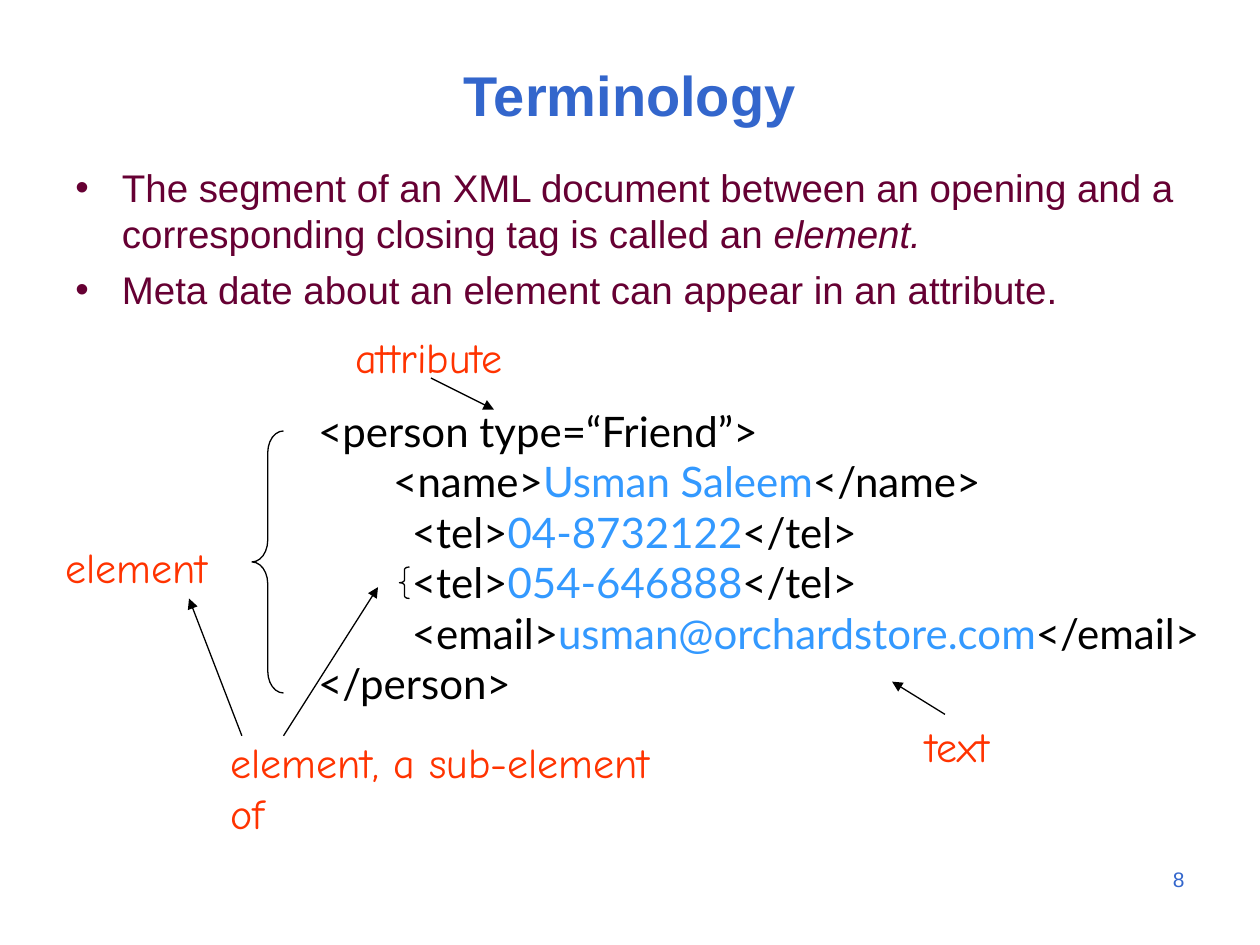
from dataclasses import dataclass

from lxml import etree
from pptx import Presentation
from pptx.dml.color import RGBColor
from pptx.enum.shapes import MSO_CONNECTOR, MSO_SHAPE
from pptx.enum.text import MSO_ANCHOR, PP_ALIGN
from pptx.oxml.ns import qn
from pptx.util import Inches, Pt

STRAIGHT = MSO_CONNECTOR.STRAIGHT
LEFT_BRACE = MSO_SHAPE.LEFT_BRACE
MIDDLE = MSO_ANCHOR.MIDDLE
CENTER, RIGHT = PP_ALIGN.CENTER, PP_ALIGN.RIGHT

BLUE = RGBColor(0x33, 0x66, 0xCC)
PLUM = RGBColor(0x66, 0x00, 0x33)
BLACK = RGBColor(0x00, 0x00, 0x00)
SKY = RGBColor(0x33, 0x99, 0xFF)
ORANGE = RGBColor(0xFF, 0x33, 0x00)

BODY_FONT, CODE_FONT, LABEL_FONT = "Arial", "Lato", "Comic Neue"
LINE_WIDTH = Pt(0.75)
BULLET_INDENT = Inches(0.37)
CODE_TAB = Inches(1)


@dataclass(frozen=True)
class Box:
    left: float
    top: float
    width: float
    height: float

    def lengths(self):
        return [Inches(v) for v in (self.left, self.top, self.width, self.height)]


@dataclass(frozen=True)
class Label:
    text: str
    box: Box


@dataclass(frozen=True)
class Arrow:
    start: tuple[float, float]
    end: tuple[float, float]


@dataclass(frozen=True)
class Brace:
    box: Box
    curve: float


@dataclass(frozen=True)
class CodeLine:
    opening: str
    content: str = ""
    closing: str = ""


LABELS = [
    Label("attribute", Box(2.72, 2.58, 1.5, 0.5)),
    Label("element", Box(0.42, 4.25, 1.5, 0.5)),
    Label("element, a sub-element\nof", Box(1.73, 5.8, 3.93, 0.9)),
    Label("text", Box(7.25, 5.67, 1.5, 0.5)),
]
ARROWS = [
    Arrow((3.42, 3), (3.92, 3.25)),
    Arrow((1.92, 5.84), (1.5, 4.75)),
    Arrow((2.25, 5.84), (3, 4.66)),
    Arrow((7.5, 5.67), (7.08, 5.41)),
]
BRACES = [
    Brace(Box(2, 3.42, 0.25, 2.08), 0.69),
    Brace(Box(3.17, 4.5, 0.08, 0.25), 0.25),
]
BULLETS = [
    ("The segment of an XML document between an opening and a "
     "corresponding closing tag is called an ", "element."),
    ("Meta date about an element can appear in an attribute.", ""),
]
CODE = [
    CodeLine("   <person type=“Friend”>"),
    CodeLine("          <name>", "Usman Saleem", "</name>"),
    CodeLine("\t<tel>", "04-8732122", "</tel>"),
    CodeLine(" \t<tel>", "054-646888", "</tel>"),
    CodeLine("\t<email>", "usman@orchardstore.com", "</email>"),
    CodeLine("   </person>"),
]


def style(font, name: str, size: float, color: RGBColor, bold=False) -> None:
    font.name, font.size, font.bold = name, Pt(size), bold
    font.color.rgb = color


def add_frame(slide, box: Box):
    frame = slide.shapes.add_textbox(*box.lengths()).text_frame
    frame.word_wrap = True
    return frame


def add_text(slide, text: str, box: Box, font: str, size: float,
             color: RGBColor, align=None, bold=False):
    frame = add_frame(slide, box)
    frame.text = text
    for paragraph in frame.paragraphs:
        paragraph.alignment = align
        for run in paragraph.runs:
            style(run.font, font, size, color, bold)
    return frame


def paragraph_at(frame, index: int):
    return frame.add_paragraph() if index else frame.paragraphs[0]


def add_bullets(slide, box: Box) -> None:
    frame = add_frame(slide, box)
    for index, (plain, emphasis) in enumerate(BULLETS):
        paragraph = paragraph_at(frame, index)
        if index:
            paragraph.space_before = Pt(5.5)
        properties = paragraph._p.get_or_add_pPr()
        properties.set("marL", str(BULLET_INDENT))
        properties.set("indent", str(-BULLET_INDENT))
        etree.SubElement(properties, qn("a:buFont"), typeface=BODY_FONT)
        etree.SubElement(properties, qn("a:buChar"), char="•")
        for text, italic in ((plain, False), (emphasis, True)):
            if text:
                run = paragraph.add_run()
                run.text = text
                style(run.font, BODY_FONT, 22, PLUM)
                run.font.italic = italic


def add_code(slide, box: Box) -> None:
    frame = add_frame(slide, box)
    for index, line in enumerate(CODE):
        paragraph = paragraph_at(frame, index)
        tabs = etree.SubElement(paragraph._p.get_or_add_pPr(), qn("a:tabLst"))
        etree.SubElement(tabs, qn("a:tab"), pos=str(CODE_TAB), algn="l")
        parts = ((line.opening, BLACK), (line.content, SKY), (line.closing, BLACK))
        for text, color in parts:
            if text:
                run = paragraph.add_run()
                run.text = text
                style(run.font, CODE_FONT, 24, color)


def add_brace(slide, brace: Brace) -> None:
    shape = slide.shapes.add_shape(LEFT_BRACE, *brace.box.lengths())
    shape.adjustments[0] = brace.curve
    shape.shadow.inherit = False
    shape.fill.background()
    shape.line.color.rgb = BLACK
    shape.line.width = LINE_WIDTH


def add_arrow(slide, arrow: Arrow) -> None:
    ends = [Inches(v) for v in (*arrow.start, *arrow.end)]
    connector = slide.shapes.add_connector(STRAIGHT, *ends)
    connector.line.color.rgb = BLACK
    connector.line.width = LINE_WIDTH
    etree.SubElement(connector.line._get_or_add_ln(), qn("a:tailEnd"), type="triangle")
    etree.SubElement(connector._element.spPr, qn("a:effectLst"))


def main() -> None:
    presentation = Presentation()
    presentation.slide_width, presentation.slide_height = Inches(10), Inches(7.5)
    slide = presentation.slides.add_slide(presentation.slide_layouts[6])

    # Title, bullets and page number
    title = add_text(slide, "Terminology", Box(0.5, 0.33, 9, 0.83),
                     BODY_FONT, 32, BLUE, CENTER, bold=True)
    title.vertical_anchor = MIDDLE
    add_bullets(slide, Box(0.5, 1.25, 9, 1.42))
    add_text(slide, "8", Box(7.5, 6.83, 2, 0.5), BODY_FONT, 12, BLUE, RIGHT)

    # XML example
    add_code(slide, Box(2.17, 3.17, 7.83, 2.9))

    # Annotations
    for brace in BRACES:
        add_brace(slide, brace)
    for label in LABELS:
        add_text(slide, label.text, label.box, LABEL_FONT, 24, ORANGE)
    for arrow in ARROWS:
        add_arrow(slide, arrow)

    presentation.save("out.pptx")


if __name__ == "__main__":
    main()
